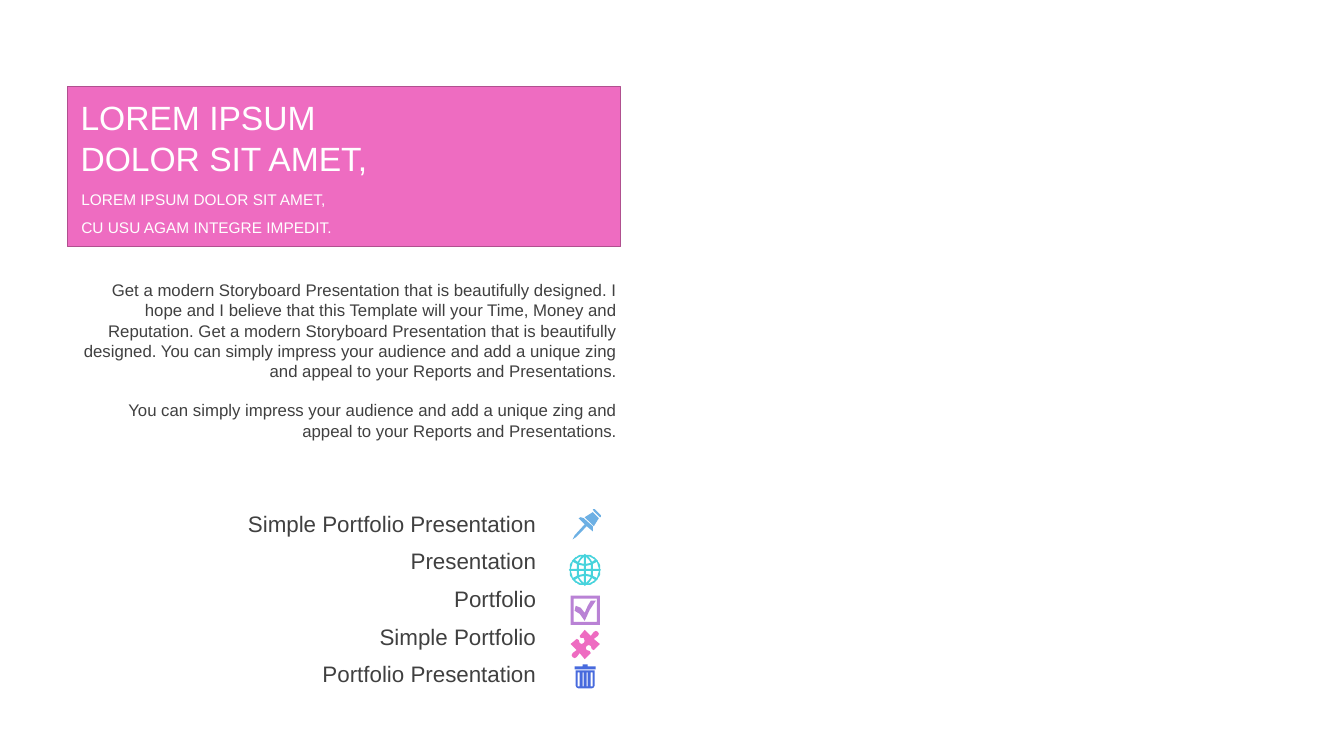
from math import cos, pi, sin

from pptx import Presentation
from pptx.dml.color import RGBColor
from pptx.enum.shapes import MSO_SHAPE
from pptx.enum.text import MSO_ANCHOR, PP_ALIGN
from pptx.util import Cm, Pt

# Content
TITLE = ["LOREM IPSUM", "DOLOR SIT AMET,"]
SUBTITLE = ["LOREM IPSUM DOLOR SIT AMET,", "CU USU AGAM INTEGRE IMPEDIT."]
BODY = [
    "Get a modern Storyboard Presentation that is beautifully designed. "
    "I hope and I believe that this Template will your Time, Money and "
    "Reputation. Get a modern Storyboard Presentation that is beautifully "
    "designed. You can simply impress your audience and add a unique zing "
    "and appeal to your Reports and Presentations.",
    "You can simply impress your audience and add a unique zing and appeal "
    "to your Reports and Presentations.",
]
LABELS = ["Simple Portfolio Presentation", "Presentation", "Portfolio",
          "Simple Portfolio", "Portfolio Presentation"]

THEME = {
    "font": "Arial",
    "white": "FFFFFF", "text": "404040",
    "pink": "EE6CC1", "edge": "B0508F",
    "sky": "6DB0E4", "aqua": "47D3DC", "violet": "B982D5", "blue": "476ADD",
    "title": 24, "subtitle": 11, "body": 12, "label": 16,
}

# Icon outlines, in hundredths of an inch; inner outlines cut holes
ICON_UNIT = Cm(2.54) / 100


def rect(x1, y1, x2, y2):
    return [(x1, y1), (x2, y1), (x2, y2), (x1, y2)]


def circle(radius, steps=72):
    return [(radius * cos(2 * pi * i / steps), radius * sin(2 * pi * i / steps))
            for i in range(steps)]


PIN = [
    [(13, 11), (22, 19), (22.5, 22), (22, 24), (16, 19), (5, 30), (2, 32),
     (4, 28), (14, 17), (8, 11), (10, 10)],
    [(22, 5), (28, 11), (23, 19), (14, 10)],
    [(24, 2), (30, 8), (30.5, 9.5), (29, 10), (23, 4), (22.5, 2.5)],
]
GLOBE_QUARTER = [
    [(0.75, 0.75), (6.5, 0.75), (6, 5.4), (0.75, 4.5)],
    [(8, 0.75), (14, 0.75), (13.3, 4.5), (11.5, 8), (7.5, 5.9)],
    [(0.75, 6), (5.5, 6.9), (3.5, 10), (0.75, 12.8)],
    [(9.8, 9.8), (7.2, 7.6), (5.5, 10.5), (3.2, 13.6), (6.8, 12.2)],
]
GLOBE = [circle(15.5)] + [
    [(sx * x, sy * y) for x, y in cell]
    for sx in (1, -1) for sy in (1, -1) for cell in GLOBE_QUARTER
]
CHECK = [
    rect(0, 0, 29, 29),
    rect(3, 3, 26, 26),
    [(5, 10), (10, 12.5), (14, 17), (17, 10), (20, 5), (25, 5), (19, 14),
     (14, 25), (9, 18), (4, 15)],
]
PUZZLE = [
    [(27, 6), (28, 8), (27, 10), (23, 13), (29, 18), (23, 24), (21, 23),
     (20, 20), (18, 19.3), (16, 20), (15.3, 22), (16, 24), (19, 25), (20, 27),
     (14, 33), (9, 27), (6, 31), (4, 32), (2, 31), (1, 29), (2, 27), (6, 24),
     (0, 18), (6, 13), (8, 14), (9, 17), (11, 18), (13, 17), (14, 15),
     (13, 12), (10, 11.5), (9, 10), (14, 4), (20, 10), (23, 6), (25, 5)],
]
BIN = [
    [(0, 2), (8, 2), (8, 0.5), (9, 0), (12, 0), (13, 0.5), (13, 2), (21, 2),
     (21, 5), (0, 5)],
    [(1, 6), (20, 6), (20, 21), (19, 23.3), (17, 24), (4, 24), (2, 23.3), (1, 21)],
] + [rect(x, 8, x + 1.3, 22) for x in (3.3, 7.6, 11.9, 16.2)]

# Outlines, colour, left and top of the drawing origin in cm
ICONS = [
    (PIN, "sky", 14.38, 12.78),
    (GLOBE, "aqua", 14.74, 14.36),
    (CHECK, "violet", 14.38, 15.01),
    (PUZZLE, "pink", 14.38, 15.77),
    (BIN, "blue", 14.48, 16.74),
]


def color(name):
    return RGBColor.from_string(THEME[name])


def add_text(s, box, lines, size, ink, align, spacing=1.0, gap=0,
             anchor=MSO_ANCHOR.TOP, side=0.25):
    tf = s.shapes.add_textbox(*(Cm(v) for v in box)).text_frame
    tf.word_wrap = True
    tf.vertical_anchor = anchor
    tf.margin_left = tf.margin_right = Cm(side)
    for i, line in enumerate(lines):
        p = tf.add_paragraph() if i else tf.paragraphs[0]
        p.alignment = align
        p.line_spacing = spacing
        if i and gap:
            p.space_before = Pt(gap)
        r = p.add_run()
        r.text = line
        r.font.name = THEME["font"]
        r.font.size = Pt(THEME[size])
        r.font.color.rgb = color(ink)


def add_icon(s, outlines, fill, left, top):
    first, *others = outlines
    fb = s.shapes.build_freeform(*first[0], scale=ICON_UNIT)
    fb.add_line_segments(first[1:], close=True)
    for outline in others:
        fb.move_to(*outline[0])
        fb.add_line_segments(outline[1:], close=True)
    sp = fb.convert_to_shape(Cm(left), Cm(top))
    sp.shadow.inherit = False
    sp.fill.solid()
    sp.fill.fore_color.rgb = color(fill)
    sp.line.fill.background()


def main():
    prs = Presentation()
    prs.slide_width, prs.slide_height = Cm(33.87), Cm(19.05)
    s = prs.slides.add_slide(prs.slide_layouts[6])

    # Body text
    add_text(s, (1.6, 6.93, 14.25, 4.37), BODY, "body", "text",
             PP_ALIGN.RIGHT, gap=13.8, side=0.3)

    # Labels at an equal pitch
    for i, label in enumerate(LABELS):
        add_text(s, (5.56, 12.85 + 0.95 * i, 8.2, 0.81), [label], "label",
                 "text", PP_ALIGN.RIGHT, spacing=0.8)

    # Icons
    for icon in ICONS:
        add_icon(s, *icon)

    # Banner
    sp = s.shapes.add_shape(MSO_SHAPE.RECTANGLE, Cm(1.7), Cm(2.18), Cm(13.94), Cm(4.04))
    sp.shadow.inherit = False
    sp.fill.solid()
    sp.fill.fore_color.rgb = color("pink")
    sp.line.color.rgb = color("edge")
    sp.line.width = Pt(1)
    add_text(s, (1.8, 4.47, 13.79, 1.57), SUBTITLE, "subtitle", "white",
             PP_ALIGN.JUSTIFY, spacing=1.5, anchor=MSO_ANCHOR.MIDDLE)
    add_text(s, (1.78, 2.31, 13.79, 2.31), TITLE, "title", "white",
             PP_ALIGN.JUSTIFY, anchor=MSO_ANCHOR.MIDDLE)

    prs.save("out.pptx")


if __name__ == "__main__":
    main()
